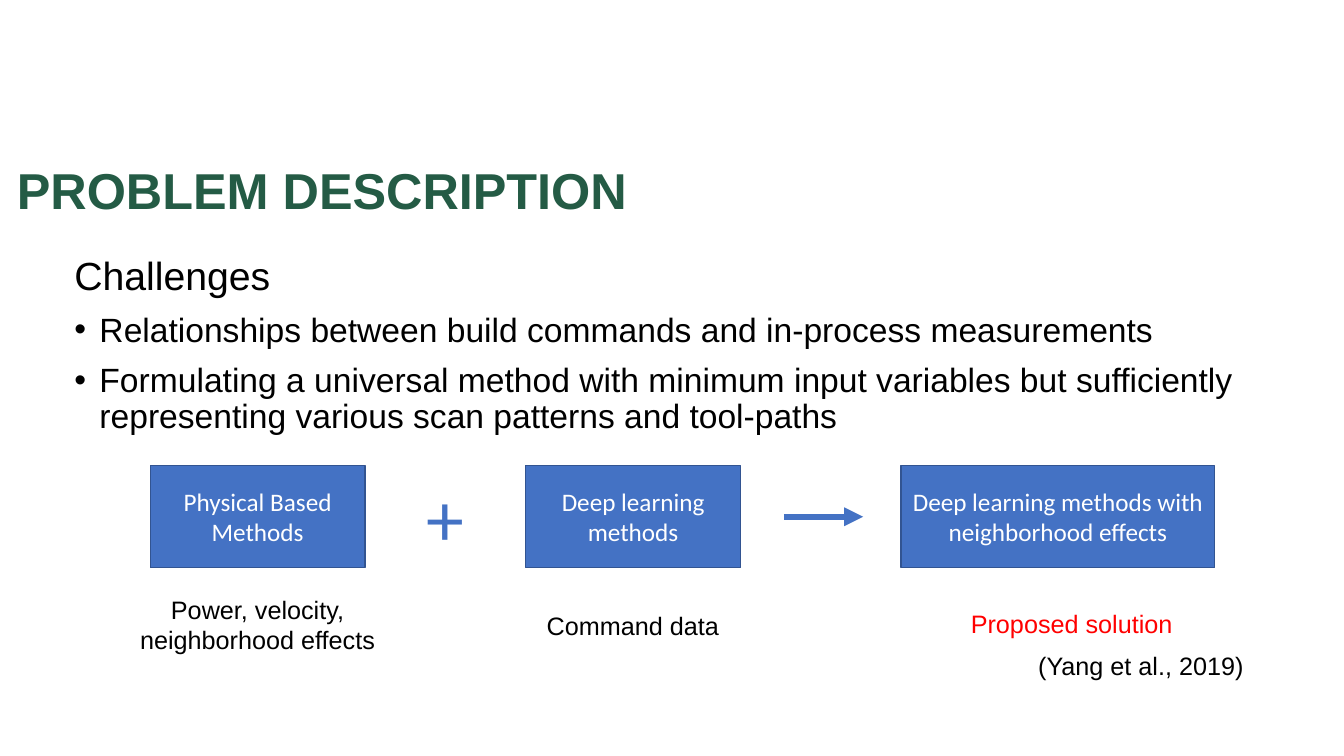
from lxml import etree
from pptx import Presentation
from pptx.dml.color import RGBColor
from pptx.enum.shapes import MSO_CONNECTOR, MSO_SHAPE
from pptx.enum.text import MSO_ANCHOR, PP_ALIGN
from pptx.oxml.ns import qn
from pptx.util import Pt

RECT = MSO_SHAPE.RECTANGLE
STRAIGHT = MSO_CONNECTOR.STRAIGHT
TOP, MIDDLE = MSO_ANCHOR.TOP, MSO_ANCHOR.MIDDLE
LEFT, CENTER = PP_ALIGN.LEFT, PP_ALIGN.CENTER

GREEN = RGBColor(0x24, 0x5B, 0x45)
BLUE = RGBColor(0x44, 0x72, 0xC4)
NAVY = RGBColor(0x32, 0x54, 0x91)
BLACK = RGBColor(0x00, 0x00, 0x00)
WHITE = RGBColor(0xFF, 0xFF, 0xFF)
RED = RGBColor(0xFF, 0x00, 0x00)


class Deck:
    sans = "Arial"
    label = "Calibri"
    size = 18

    def __init__(self, wide, high):
        self.prs = Presentation()
        self.prs.slide_width, self.prs.slide_height = Pt(wide), Pt(high)
        self.slide = self.prs.slides.add_slide(self.prs.slide_layouts[6])

    def style(self, para, font, size, color, align=LEFT, bold=False):
        para.alignment = align
        for run in para.runs:
            run.font.name = font
            run.font.size = Pt(size)
            run.font.bold = bold
            run.font.color.rgb = color

    def text(self, area, words, font=sans, size=size, color=BLACK,
             align=CENTER, bold=False, anchor=TOP, wrap=True):
        frame = self.slide.shapes.add_textbox(*map(Pt, area)).text_frame
        frame.word_wrap = wrap
        frame.vertical_anchor = anchor
        frame.text = words
        for para in frame.paragraphs:
            self.style(para, font, size, color, align, bold)
        return frame

    def title(self, area, words):
        frame = self.text(area, words, size=36, color=GREEN, align=LEFT,
                          bold=True, anchor=MIDDLE)
        frame.paragraphs[0].line_spacing = 0.9

    def body(self, area, head, points):
        frame = self.text(area, "\n".join([head, *points]), size=24, align=LEFT)
        for para in frame.paragraphs:
            para.line_spacing = 0.9
            para.space_before = Pt(10)
        first, *rest = frame.paragraphs
        self.style(first, self.sans, 28, BLACK)
        for para in rest:
            props = para._p.get_or_add_pPr()
            props.set("marL", str(Pt(18)))
            props.set("indent", str(Pt(-18)))
            font = etree.SubElement(props, qn("a:buFont"))
            font.set("typeface", self.sans)
            etree.SubElement(props, qn("a:buChar")).set("char", "•")

    def box(self, area, words):
        shape = self.slide.shapes.add_shape(RECT, *map(Pt, area))
        shape.shadow.inherit = False
        shape.fill.solid()
        shape.fill.fore_color.rgb = BLUE
        shape.line.color.rgb = NAVY
        shape.line.width = Pt(1)
        frame = shape.text_frame
        frame.word_wrap = True
        frame.vertical_anchor = MIDDLE
        frame.text = words
        self.style(frame.paragraphs[0], self.label, self.size, WHITE, CENTER)

    def arrow(self, start, end, y):
        line = self.slide.shapes.add_connector(
            STRAIGHT, Pt(start), Pt(y), Pt(end), Pt(y))
        line.line.color.rgb = BLUE
        line.line.width = Pt(4.5)
        tail = etree.SubElement(line.line._get_or_add_ln(), qn("a:tailEnd"))
        tail.set("type", "triangle")
        etree.SubElement(line._element.spPr, qn("a:effectLst"))


def main():
    deck = Deck(960, 540)
    deck.title((5, 105, 828, 66), "PROBLEM DESCRIPTION")
    deck.body((46, 180, 864, 305), "Challenges", [
        "Relationships between build commands and in-process measurements",
        "Formulating a universal method with minimum input variables but "
        "sufficiently representing various scan patterns and tool-paths",
    ])

    left, top, step, high = 107.3, 332.6, 268.2, 73
    boxes = [
        ("Physical Based Methods", 153.5),
        ("Deep learning methods", 153.5),
        ("Deep learning methods with neighborhood effects", 224),
    ]
    for i, (words, wide) in enumerate(boxes):
        deck.box((left + i * step, top, wide, high), words)

    deck.text((297.5, top, 41.5, high), "+", font=deck.label, size=54,
              color=BLUE, wrap=False)
    deck.arrow(560, 616.5, top + high / 2)

    deck.text((92.5, 421, 183, 51), "Power, velocity, neighborhood effects")
    deck.text((377, 432.3, 150, 29), "Command data")
    deck.text((674, 431, 183, 29), "Proposed solution", color=RED)
    deck.text((734.5, 461.3, 196.5, 29), "(Yang et al., 2019)", align=LEFT)
    deck.prs.save("out.pptx")


if __name__ == "__main__":
    main()
